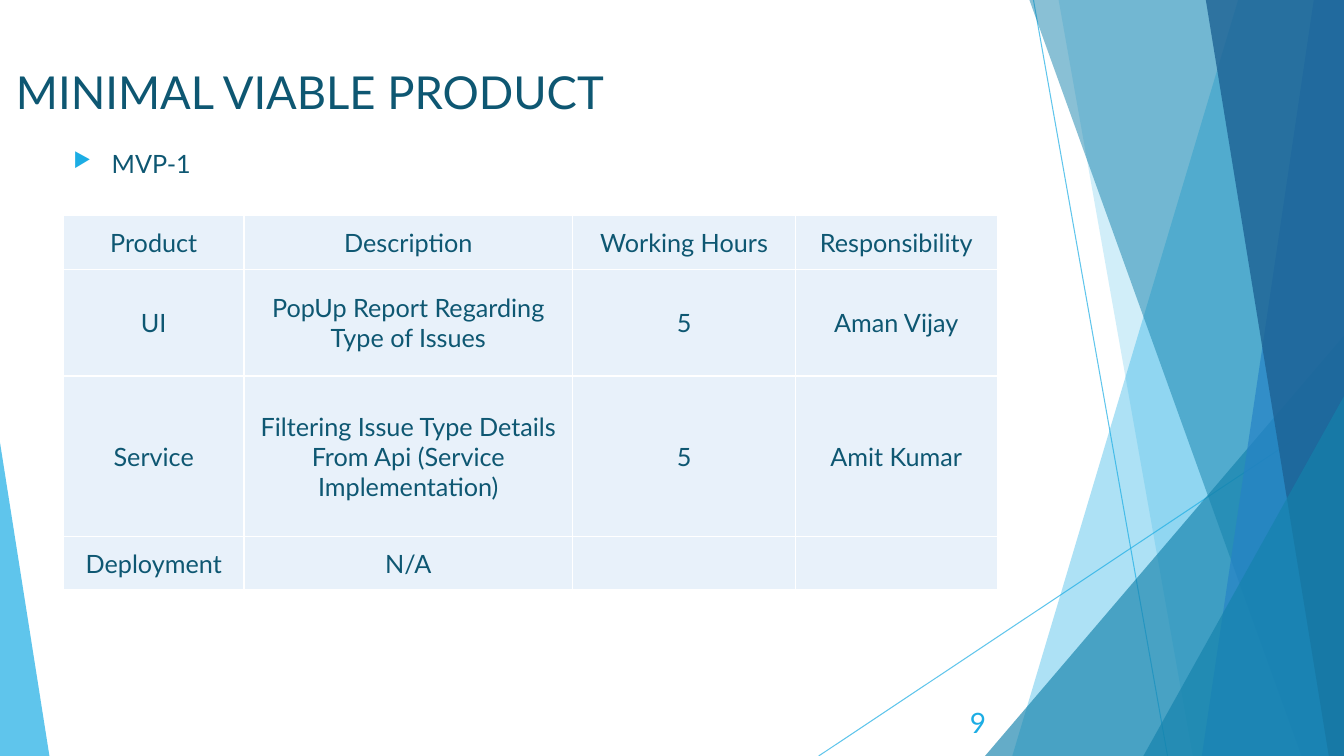
from pptx import Presentation
from pptx.dml.color import RGBColor
from pptx.enum.shapes import MSO_CONNECTOR, MSO_SHAPE
from pptx.enum.text import MSO_ANCHOR, PP_ALIGN
from pptx.oxml.ns import qn
from pptx.util import Inches, Pt
from lxml.etree import SubElement

SLIDE_WIDTH, SLIDE_HEIGHT = 13.33, 7.5
FONT = "Lato"
COLORS = {
    "text": "0E5772",
    "sky": "1CADE4",
    "teal": "1482AC",
    "blue": "2683C6",
    "navy": "1D6294",
    "cell": "E8F1FA",
    "white": "FFFFFF",
}
ROWS = [
    ["Product", "Description", "Working Hours", "Responsibility"],
    ["UI", "PopUp Report Regarding Type of Issues", "5", "Aman Vijay"],
    ["Service", "Filtering Issue Type Details From Api (Service Implementation)", "5", "Amit Kumar"],
    ["Deployment", "N/A", "", ""],
]
COLUMN_WIDTHS = [1.79, 3.26, 2.21, 2]
ROW_HEIGHTS = [0.53, 1.06, 1.59, 0.53]


def rgb(name):
    """Return the named colour."""
    return RGBColor.from_string(COLORS[name])


def set_alpha(shape_fill, percent):
    """Make a solid fill partly transparent."""
    color = shape_fill._xPr.find(qn("a:solidFill"))[0]
    SubElement(color, qn("a:alpha"), val=str(percent * 1000))


def paint(shape, color, alpha):
    """Give a shape a translucent fill without line or shadow."""
    shape.shadow.inherit = False
    shape.line.fill.background()
    shape.fill.solid()
    shape.fill.fore_color.rgb = rgb(color)
    set_alpha(shape.fill, alpha)


def write(frame, text, size=18, color="text", align=PP_ALIGN.LEFT, anchor=MSO_ANCHOR.TOP):
    """Write one formatted paragraph into a text frame or cell frame."""
    frame.word_wrap = True
    frame.vertical_anchor = anchor
    paragraph = frame.paragraphs[0]
    paragraph.alignment = align
    paragraph.font.size = Pt(size)
    if text:
        run = paragraph.add_run()
        run.text = text
        run.font.name, run.font.size = FONT, Pt(size)
        run.font.color.rgb = rgb(color)
    return paragraph


def add_text(slide, box, text, **formatting):
    """Add a text box and return its paragraph."""
    shape = slide.shapes.add_textbox(*map(Inches, box))
    return write(shape.text_frame, text, **formatting)


def add_bullet(paragraph, indent):
    """Give a paragraph a hanging arrow bullet."""
    properties = paragraph._p.get_or_add_pPr()
    properties.set("marL", str(Inches(indent)))
    properties.set("indent", str(-Inches(indent)))
    color = SubElement(properties, qn("a:buClr"))
    SubElement(color, qn("a:srgbClr"), val=COLORS["sky"])
    SubElement(properties, qn("a:buSzPct"), val="80000")
    SubElement(properties, qn("a:buChar"), char="▶")


def add_ray(slide, start, end):
    """Add a thin translucent line."""
    line = slide.shapes.add_connector(MSO_CONNECTOR.STRAIGHT, *map(Inches, start + end))
    line.line.width = Pt(0.75)
    line.line.color.rgb = rgb("sky")
    set_alpha(line.line.fill, 70)
    SubElement(line._element.spPr, qn("a:effectLst"))


def add_facet(slide, box, top_x, bottom_x, color, alpha):
    """Add a slanted panel that reaches the right edge of the box."""
    left, top, width, height = box
    right, bottom = left + width, top + height
    points = [(left + top_x, top), (right, top), (right, bottom), (left + bottom_x, bottom)]
    points = [tuple(map(Inches, point)) for point in points]
    builder = slide.shapes.build_freeform(*points[0])
    builder.add_line_segments(points[1:], close=True)
    paint(builder.convert_to_shape(), color, alpha)


def add_wedge(slide, box, color, alpha, apex):
    """Add a right triangle whose apex is at 0 (left) or 1 (right)."""
    shape = slide.shapes.add_shape(MSO_SHAPE.ISOSCELES_TRIANGLE, *map(Inches, box))
    shape.adjustments[0] = apex
    paint(shape, color, alpha)


def add_backdrop(slide, box):
    """Place the rays, panels and corner wedges."""
    left, top, width, height = box
    right, bottom = left + width, top + height

    def corner_wedge(wedge_width, wedge_height):
        """Place a wedge in the lower right corner."""
        wedge_box = (right - wedge_width, bottom - wedge_height, wedge_width, wedge_height)
        add_wedge(slide, wedge_box, "teal", 66, 1)

    add_ray(slide, (left + 10.25, top), (left + 11.58, bottom))
    add_ray(slide, (right, top + 4.03), (left + 8.12, bottom))
    add_facet(slide, box, 12.28, 10.04, "sky", 36)
    add_facet(slide, box, 10.5, 11.83, "sky", 20)
    corner_wedge(3.56, 4.17)
    add_facet(slide, box, 10.21, 12.91, "teal", 50)
    add_facet(slide, box, 13.03, 11.92, "blue", 70)
    add_facet(slide, box, 11.96, 13.18, "navy", 80)
    corner_wedge(1.99, 3.57)
    add_wedge(slide, (left, bottom - 3.11, 0.49, 3.11), "sky", 70, 0)


def format_cell(cell, text):
    """Fill, border and write one table cell."""
    cell.margin_left = cell.margin_right = cell.margin_top = Inches(0.01)
    cell.margin_bottom = 0
    write(cell.text_frame, text, align=PP_ALIGN.CENTER)
    cell.vertical_anchor = MSO_ANCHOR.MIDDLE
    properties = cell._tc.get_or_add_tcPr()
    for side in ("lnL", "lnR", "lnT", "lnB"):
        border = SubElement(properties, qn(f"a:{side}"), w=str(Pt(1)))
        fill = SubElement(border, qn("a:solidFill"))
        SubElement(fill, qn("a:srgbClr"), val=COLORS["white"])
    cell.fill.solid()
    cell.fill.fore_color.rgb = rgb("cell")


def add_product_table(slide, box):
    """Place the table of products, hours and owners."""
    frame = slide.shapes.add_table(len(ROWS), len(COLUMN_WIDTHS), *map(Inches, box))
    table = frame.table
    table.first_row = table.horz_banding = False
    for column, width in zip(table.columns, COLUMN_WIDTHS):
        column.width = Inches(width)
    for row, height, texts in zip(table.rows, ROW_HEIGHTS, ROWS):
        row.height = Inches(height)
        for cell, text in zip(row.cells, texts):
            format_cell(cell, text)


def add_product_slide(presentation):
    """Build the minimal viable product slide."""
    slide = presentation.slides.add_slide(presentation.slide_layouts[6])
    add_backdrop(slide, (0, 0, SLIDE_WIDTH, SLIDE_HEIGHT))
    add_text(slide, (0.06, 0.59, 9.51, 0.66), "MINIMAL VIABLE PRODUCT", size=32.4)
    bullet = add_text(slide, (0.63, 1.42, 9.51, 0.5), "MVP-1")
    bullet.space_before = Pt(10)
    add_bullet(bullet, 0.38)
    add_text(slide, (9.13, 6.93, 0.75, 0.47), "9", size=20, color="sky",
             align=PP_ALIGN.RIGHT, anchor=MSO_ANCHOR.MIDDLE)
    add_product_table(slide, (0.63, 2.14, sum(COLUMN_WIDTHS), sum(ROW_HEIGHTS)))


presentation = Presentation()
presentation.slide_width = Inches(SLIDE_WIDTH)
presentation.slide_height = Inches(SLIDE_HEIGHT)
add_product_slide(presentation)
presentation.save("out.pptx")
